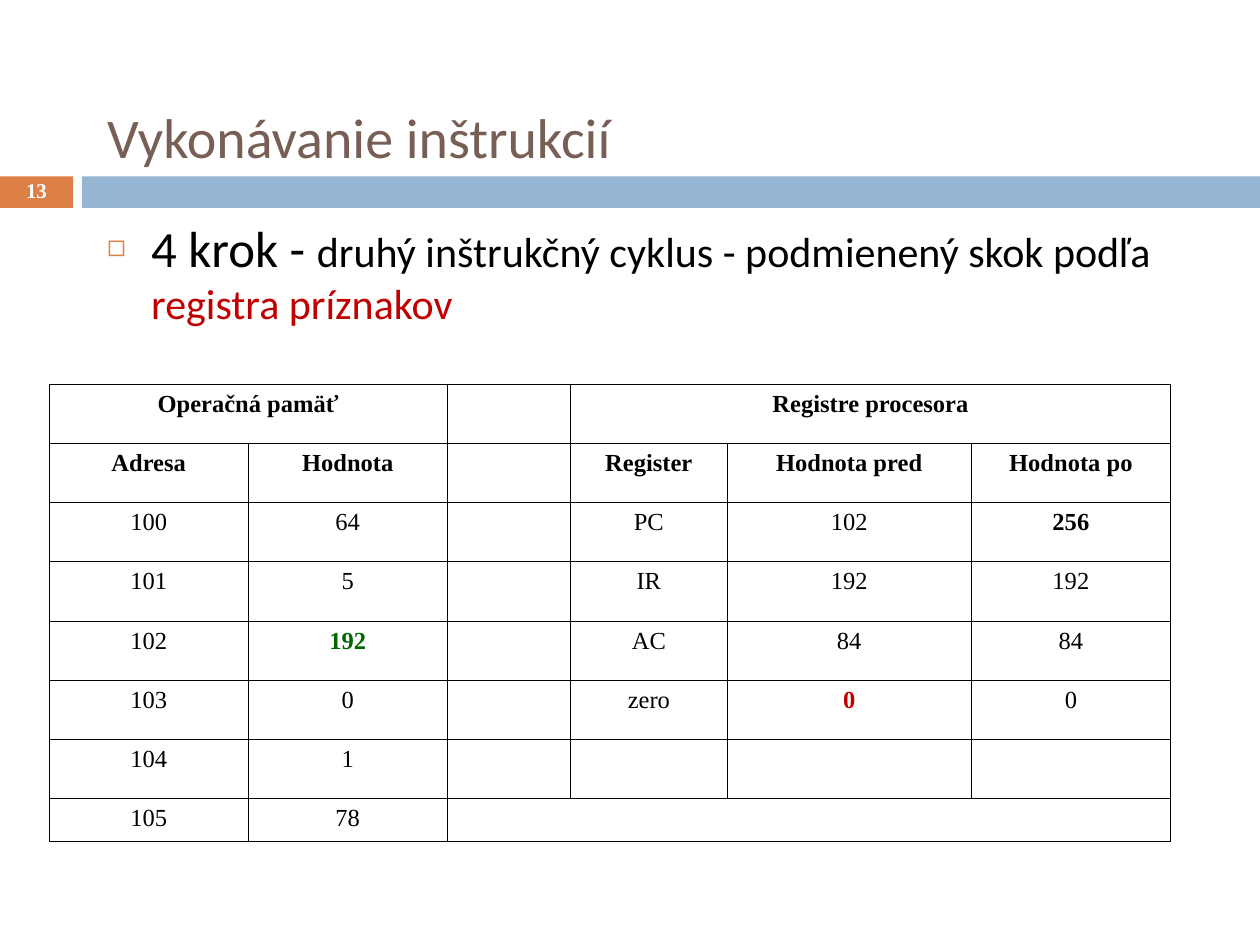
from dataclasses import dataclass

from lxml.etree import SubElement
from pptx import Presentation
from pptx.dml.color import RGBColor
from pptx.enum.shapes import MSO_SHAPE as Shape
from pptx.enum.text import MSO_ANCHOR as Anchor, MSO_AUTO_SIZE as AutoSize, PP_ALIGN as Align
from pptx.oxml.ns import qn
from pptx.util import Inches, Pt


@dataclass(frozen=True)
class Theme:
    heading_font: str = "Calibri"
    table_font: str = "Times New Roman"
    brown: str = "775F55"
    orange: str = "DD8047"
    blue: str = "94B6D2"
    red: str = "C00000"
    green: str = "006600"
    black: str = "000000"
    white: str = "FFFFFF"
    title_size: int = 32
    lead_size: int = 29
    body_size: int = 24
    table_size: int = 14
    number_size: int = 12
    border_width: float = 0.45


theme = Theme()


def style_run(run, font, size, color, bold=False):
    run.font.name = font
    run.font.size = Pt(size)
    run.font.color.rgb = RGBColor.from_string(color)
    run.font.bold = bold


def add_borders(cell):
    properties = cell._tc.get_or_add_tcPr()
    for side in ("a:lnL", "a:lnR", "a:lnT", "a:lnB"):
        line = SubElement(properties, qn(side), w=str(Pt(theme.border_width)))
        fill = SubElement(line, qn("a:solidFill"))
        SubElement(fill, qn("a:srgbClr"), val=theme.black)


presentation = Presentation()
presentation.slide_width = Inches(10)
presentation.slide_height = Inches(7.5)
slide = presentation.slides.add_slide(presentation.slide_layouts[1])

for left, width, color in ((0, 0.58, theme.orange), (0.65, 9.35, theme.blue)):
    band = slide.shapes.add_shape(Shape.RECTANGLE, Inches(left), Inches(1.4), Inches(width), Inches(0.25))
    band.shadow.inherit = False
    band.fill.solid()
    band.fill.fore_color.rgb = RGBColor.from_string(color)
    band.line.fill.background()

title = slide.shapes.title
title.left, title.top, title.width, title.height = Inches(0.75), Inches(0.67), Inches(8.5), Inches(0.67)
title_frame = title.text_frame
title_frame.text = "Vykonávanie inštrukcií"
title_frame.auto_size = AutoSize.NONE
title_frame.vertical_anchor = Anchor.MIDDLE
title_frame.margin_top = Inches(0.15)
title_frame.margin_bottom = 0
title_frame.paragraphs[0].alignment = Align.LEFT
style_run(title_frame.paragraphs[0].runs[0], theme.heading_font, theme.title_size, theme.brown)

number = slide.shapes.add_textbox(0, Inches(1.39), Inches(0.58), Inches(0.27))
number_frame = number.text_frame
number_frame.word_wrap = True
number_frame.vertical_anchor = Anchor.MIDDLE
number_frame.text = "13"
number_paragraph = number_frame.paragraphs[0]
number_paragraph.alignment = Align.CENTER
number_paragraph.line_spacing = 0.8
style_run(number_paragraph.runs[0], theme.table_font, theme.number_size, theme.white, True)

body = slide.placeholders[1]
body.left, body.top, body.width, body.height = Inches(0.75), Inches(1.67), Inches(8.5), Inches(1)
body.text_frame.auto_size = AutoSize.NONE
step = body.text_frame.paragraphs[0]
step.space_before = Pt(0)
step_properties = step._p.get_or_add_pPr()
step_properties.set("marL", str(Inches(0.35)))
step_properties.set("indent", str(-Inches(0.35)))
bullet_color = SubElement(step_properties, qn("a:buClr"))
SubElement(bullet_color, qn("a:srgbClr"), val=theme.orange)
SubElement(step_properties, qn("a:buSzPct"), val="60000")
SubElement(step_properties, qn("a:buChar"), char="◻")
for text, size, color in (
    ("4 krok - ", theme.lead_size, theme.black),
    ("druhý inštrukčný cyklus - podmienený skok podľa ", theme.body_size, theme.black),
    ("registra príznakov", theme.body_size, theme.red),
):
    run = step.add_run()
    run.text = text
    style_run(run, theme.heading_font, size, color)

rows = (
    ("Operačná pamäť", "", "", "Registre procesora", "", ""),
    ("Adresa", "Hodnota", "", "Register", "Hodnota pred", "Hodnota po"),
    ("100", "64", "", "PC", "102", "256"),
    ("101", "5", "", "IR", "192", "192"),
    ("102", "192", "", "AC", "84", "84"),
    ("103", "0", "", "zero", "0", "0"),
    ("104", "1", "", "", "", ""),
    ("105", "78", "", "", "", ""),
)
column_widths = (1.58, 1.58, 0.98, 1.24, 1.94, 1.58)
row_heights = [0.47] * 7 + [0.34]
highlights = {(2, 5): theme.black, (4, 1): theme.green, (5, 4): theme.red}
merges = (((0, 0), (0, 1)), ((0, 3), (0, 5)), ((7, 2), (7, 5)))

table = slide.shapes.add_table(
    len(rows), len(column_widths), Inches(0.39), Inches(3.05),
    Inches(sum(column_widths)), Inches(sum(row_heights)),
).table
table.first_row = False
table.horz_banding = False
for column, width in zip(table.columns, column_widths):
    column.width = Inches(width)
for row, height in zip(table.rows, row_heights):
    row.height = Inches(height)
for start, end in merges:
    table.cell(*start).merge(table.cell(*end))

for row_index, values in enumerate(rows):
    for column_index, value in enumerate(values):
        cell = table.cell(row_index, column_index)
        add_borders(cell)
        cell.fill.background()
        paragraph = cell.text_frame.paragraphs[0]
        paragraph.alignment = Align.CENTER
        if value:
            paragraph.text = value
            position = (row_index, column_index)
            bold = row_index < 2 or position in highlights
            color = highlights.get(position, theme.black)
            style_run(paragraph.runs[0], theme.table_font, theme.table_size, color, bold)
        else:
            SubElement(paragraph._p, qn("a:endParaRPr"), sz=str(theme.table_size * 100))

presentation.save("out.pptx")
